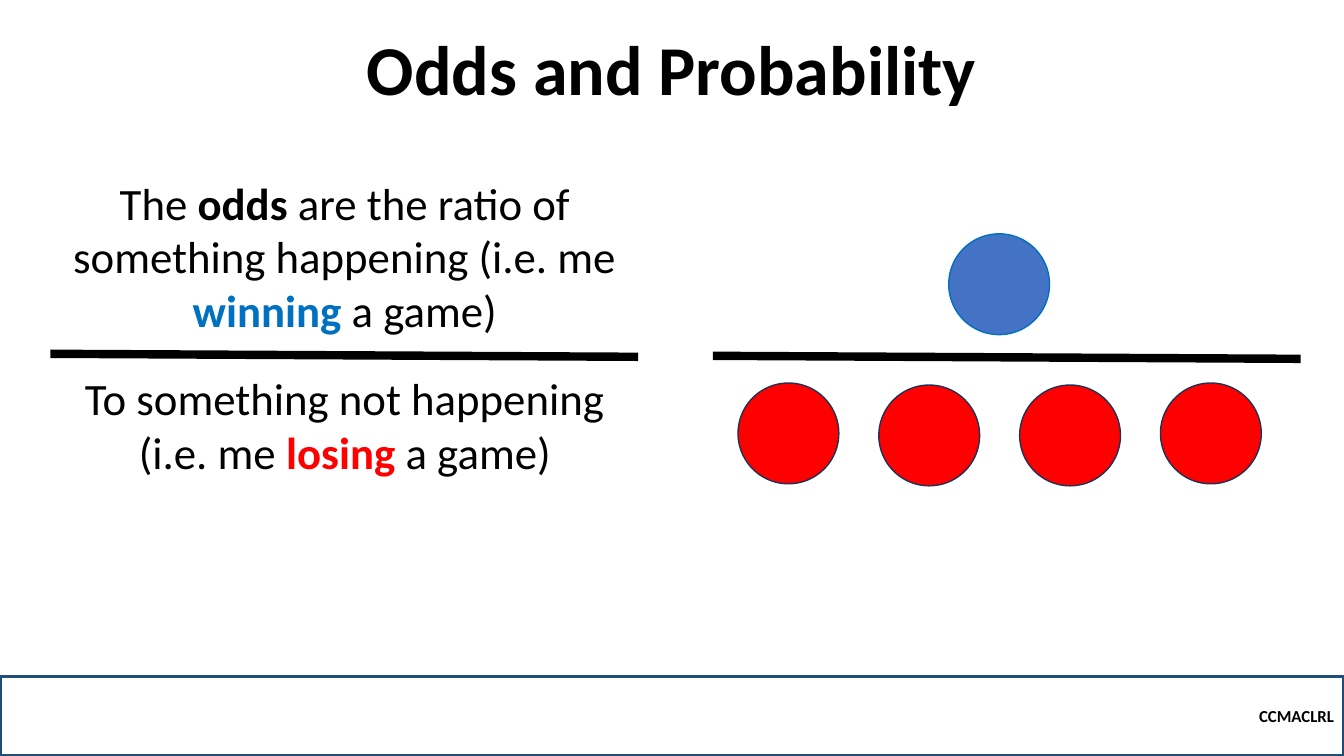
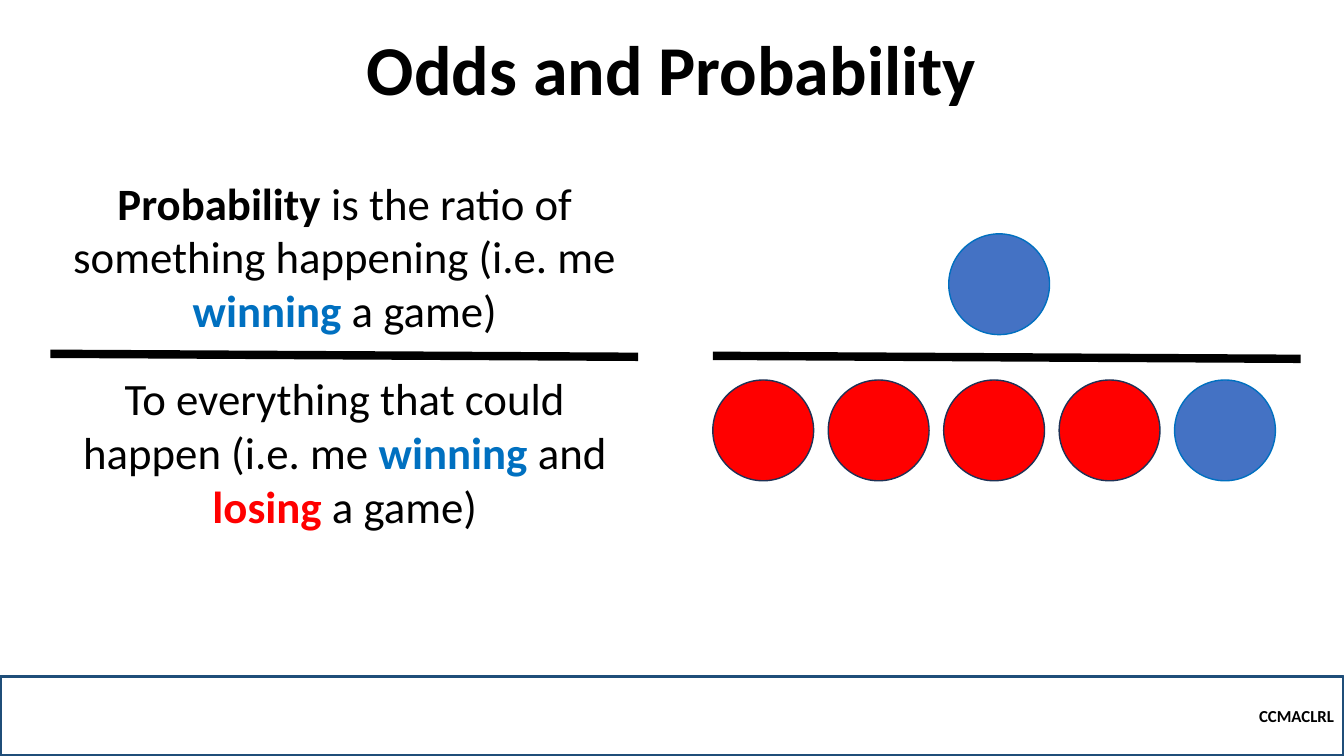
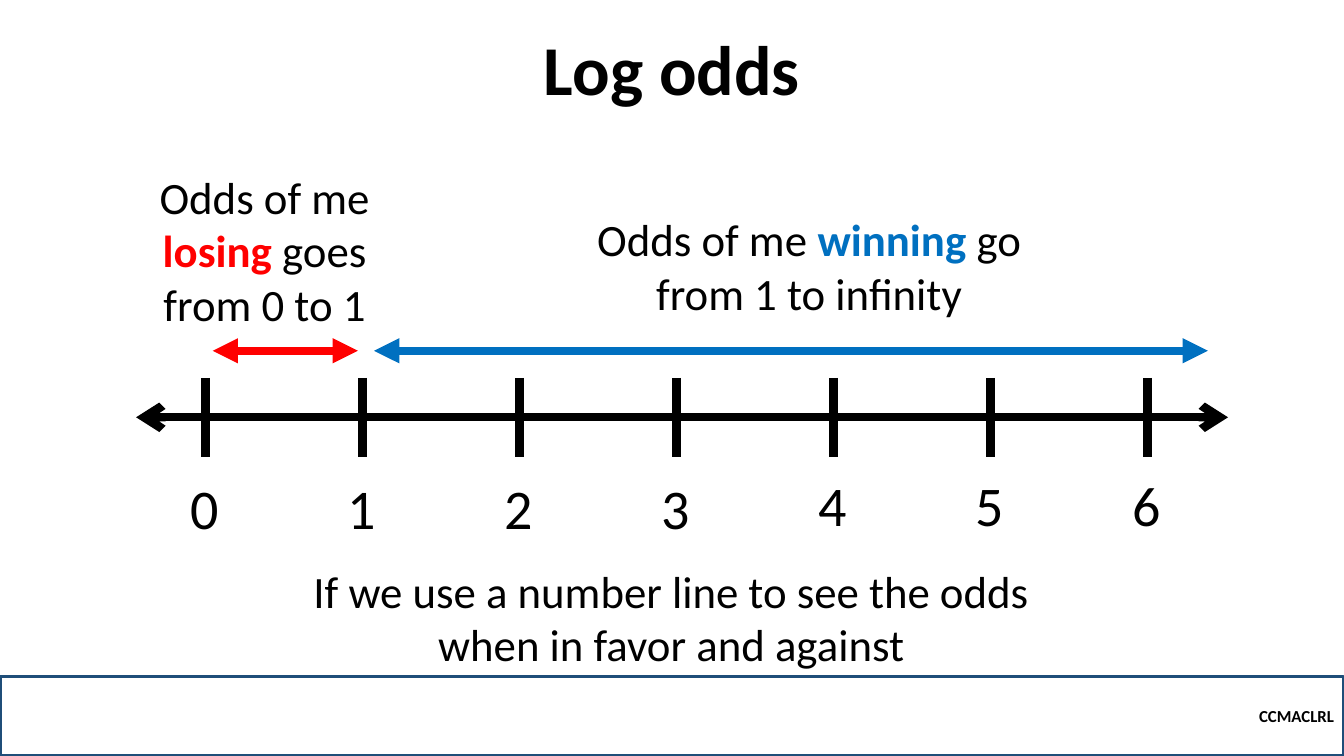
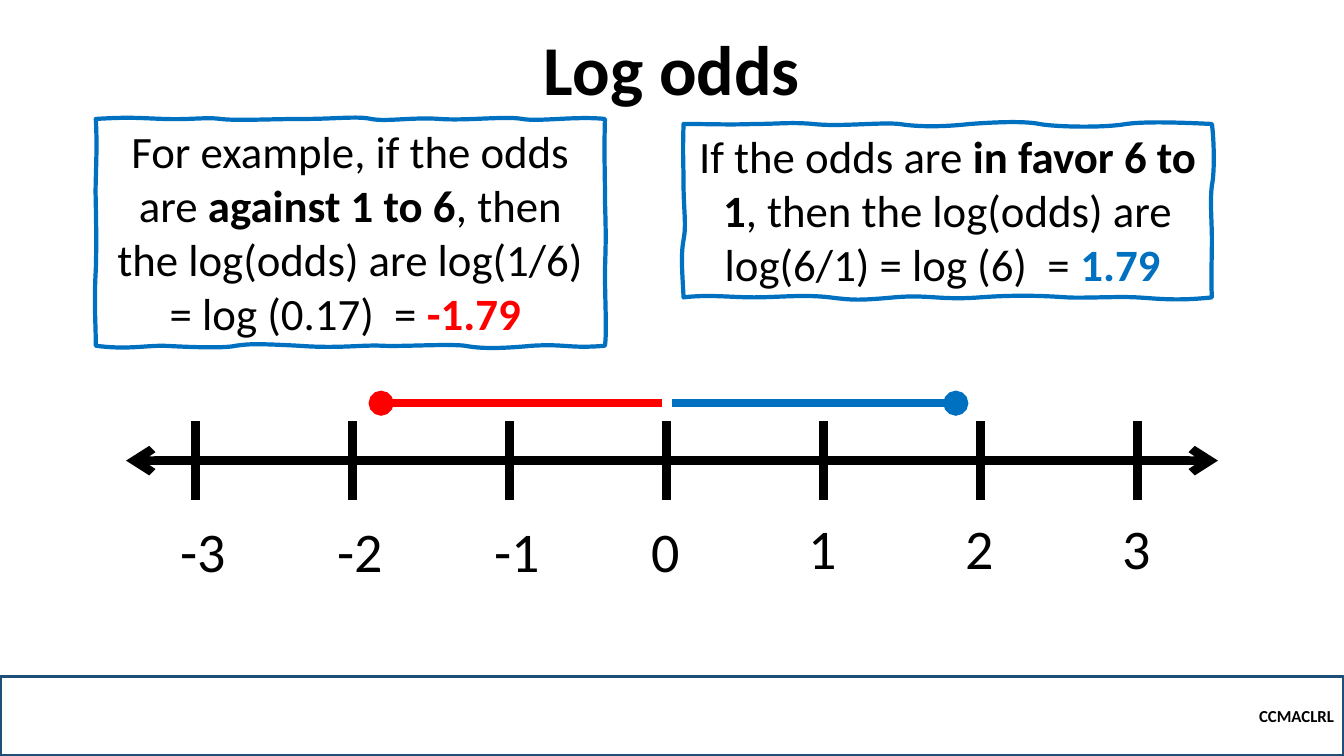
"""Build four slides that explain odds, probability and log odds."""
from dataclasses import dataclass
from typing import Any

from lxml import etree
from pptx import Presentation
from pptx.dml.color import RGBColor
from pptx.enum.shapes import MSO_CONNECTOR, MSO_SHAPE
from pptx.enum.text import MSO_ANCHOR, MSO_AUTO_SIZE, PP_ALIGN
from pptx.oxml.ns import qn
from pptx.util import Inches, Pt

LEFT, CENTER, RIGHT = PP_ALIGN.LEFT, PP_ALIGN.CENTER, PP_ALIGN.RIGHT
TOP, MIDDLE, BOTTOM = MSO_ANCHOR.TOP, MSO_ANCHOR.MIDDLE, MSO_ANCHOR.BOTTOM
FIXED, GROW = MSO_AUTO_SIZE.NONE, MSO_AUTO_SIZE.SHAPE_TO_FIT_TEXT
STRAIGHT, RECTANGLE, OVAL = MSO_CONNECTOR.STRAIGHT, MSO_SHAPE.RECTANGLE, MSO_SHAPE.OVAL

FONT = "Calibri"
BLACK, RED, BLUE = "000000", "FF0000", "0070C0"
BALL_BLUE, BALL_EDGE, FOOTER_EDGE = "4472C4", "1E3256", "1F4E79"
WIDTH, HEIGHT = 13.33, 7.5


@dataclass(frozen=True)
class Run:
    """A piece of text in one colour and weight."""
    text: str
    color: str = BLACK
    bold: bool = False


@dataclass(frozen=True)
class Box:
    """A rectangle in inches."""
    left: float
    top: float
    width: float
    height: float

    def lengths(self) -> list[int]:
        """Return the four measures as lengths."""
        return [Inches(value) for value in (self.left, self.top, self.width, self.height)]


@dataclass(frozen=True)
class TextStyle:
    """The size and placing of a text."""
    size: float = 32
    align: Any = CENTER
    anchor: Any = TOP
    wrap: bool = True
    spacing: float = 1.0
    fit: Any = GROW


@dataclass(frozen=True)
class Ball:
    """A circle that stands for one game."""
    left: float
    top: float
    won: bool = False


@dataclass(frozen=True)
class Line:
    """A straight line with optional ends."""
    start: tuple[float, float]
    end: tuple[float, float]
    color: str = BLACK
    head: str = ""
    tail: str = ""


@dataclass(frozen=True)
class WavyBox:
    """A hand-drawn frame: a start point and cubic curve segments."""
    start: tuple[float, float]
    curves: list[tuple[float, ...]]


BODY = TextStyle()
TITLE = TextStyle(size=50, anchor=BOTTOM, spacing=0.9, fit=FIXED)
FOOTER = TextStyle(size=12, align=RIGHT, anchor=MIDDLE, fit=FIXED)
TICK_LABEL = TextStyle(size=40, align=LEFT, wrap=False)

WINNING = Run("winning", BLUE, True)
LOSING = Run("losing", RED, True)
A_GAME = Run(" a game)")

AGAINST_FRAME = WavyBox((0.95, 1.18), [
    (1.28, 1.16, 1.35, 1.17, 1.62, 1.18), (1.89, 1.19, 2.04, 1.16, 2.19, 1.18),
    (2.34, 1.2, 2.69, 1.18, 3.01, 1.18), (3.34, 1.18, 3.54, 1.15, 3.68, 1.18),
    (3.83, 1.21, 4.1, 1.16, 4.36, 1.18), (4.62, 1.2, 5.01, 1.15, 5.18, 1.18),
    (5.34, 1.21, 5.71, 1.15, 6, 1.18), (5.99, 1.57, 6, 1.63, 6, 1.98),
    (6.01, 2.33, 6.01, 2.37, 6, 2.68), (6, 3, 6.02, 3.28, 6, 3.43),
    (5.65, 3.46, 5.61, 3.41, 5.28, 3.43), (4.95, 3.46, 4.77, 3.46, 4.61, 3.43),
    (4.45, 3.41, 3.98, 3.44, 3.79, 3.43), (3.59, 3.42, 3.36, 3.46, 2.96, 3.43),
    (2.57, 3.41, 2.47, 3.41, 2.34, 3.43), (2.21, 3.46, 1.82, 3.44, 1.62, 3.43),
    (1.42, 3.43, 1.25, 3.47, 0.95, 3.43), (0.95, 3.19, 0.93, 3.02, 0.95, 2.68),
    (0.96, 2.35, 0.95, 2.12, 0.95, 1.98), (0.94, 1.83, 0.97, 1.51, 0.95, 1.18),
])
FAVOR_FRAME = WavyBox((6.78, 1.23), [
    (7.07, 1.23, 7.22, 1.24, 7.48, 1.23), (7.73, 1.23, 7.83, 1.21, 8.07, 1.23),
    (8.31, 1.26, 8.74, 1.21, 8.92, 1.23), (9.11, 1.26, 9.35, 1.26, 9.62, 1.23),
    (9.89, 1.21, 10.16, 1.2, 10.31, 1.23), (10.47, 1.26, 10.95, 1.27, 11.17, 1.23),
    (11.38, 1.2, 11.81, 1.22, 12.02, 1.23), (12.04, 1.37, 12.05, 1.7, 12.02, 1.84),
    (12, 1.99, 12.02, 2.2, 12.02, 2.38), (12.02, 2.56, 12.01, 2.77, 12.02, 2.95),
    (11.66, 2.99, 11.47, 2.96, 11.27, 2.95), (11.08, 2.94, 10.73, 2.96, 10.58, 2.95),
    (10.42, 2.94, 10.13, 2.92, 9.72, 2.95), (9.32, 2.98, 9.21, 2.92, 8.87, 2.95),
    (8.53, 2.98, 8.47, 2.98, 8.23, 2.95), (7.98, 2.92, 7.71, 2.95, 7.48, 2.95),
    (7.24, 2.95, 7.03, 2.92, 6.78, 2.95), (6.77, 2.74, 6.75, 2.53, 6.78, 2.38),
    (6.81, 2.23, 6.78, 2.07, 6.78, 1.84), (6.78, 1.62, 6.77, 1.54, 6.78, 1.23),
])


def rgb(color: str) -> RGBColor:
    """Turn a hex string into a colour."""
    return RGBColor.from_string(color)


def apply_format(target: Any, values: dict[str, Any]) -> None:
    """Set each named attribute on the target."""
    for name, value in values.items():
        setattr(target, name, value)


def write_text(shape: Any, runs: list[Run], style: TextStyle) -> None:
    """Write one paragraph of runs into a shape."""
    frame = shape.text_frame
    apply_format(frame, {"word_wrap": style.wrap, "vertical_anchor": style.anchor,
                         "auto_size": style.fit})
    paragraph = frame.paragraphs[0]
    apply_format(paragraph, {"alignment": style.align, "line_spacing": style.spacing})
    for part in runs:
        run = paragraph.add_run()
        run.text = part.text
        apply_format(run.font, {"name": FONT, "size": Pt(style.size), "bold": part.bold})
        run.font.color.rgb = rgb(part.color)


def add_text(parent: Any, box: Box, runs: list[Run], style: TextStyle = BODY) -> None:
    """Add a text box to a slide or group."""
    write_text(parent.shapes.add_textbox(*box.lengths()), runs, style)


def paint(shape: Any, fill: str, edge: str, weight: float) -> None:
    """Set fill and outline and drop the shadow; an empty colour means none."""
    shape.shadow.inherit = False
    for paint_format, color in ((shape.fill, fill), (shape.line.fill, edge)):
        if color:
            paint_format.solid()
            paint_format.fore_color.rgb = rgb(color)
        else:
            paint_format.background()
    shape.line.width = Pt(weight)


def add_line(parent: Any, line: Line) -> None:
    """Add a thick connector with its ends to a slide or group."""
    points = [Inches(value) for value in (*line.start, *line.end)]
    connector = parent.shapes.add_connector(STRAIGHT, *points)
    connector.line.color.rgb = rgb(line.color)
    connector.line.width = Pt(6)
    properties = connector.element.spPr
    outline = properties.find(qn("a:ln"))
    for tag, kind in (("a:headEnd", line.head), ("a:tailEnd", line.tail)):
        if kind:
            etree.SubElement(outline, qn(tag), type=kind)
    etree.SubElement(properties, qn("a:effectLst"))


def add_ball(slide: Any, ball: Ball) -> None:
    """Add a one-inch circle, blue for a win and red for a loss."""
    shape = slide.shapes.add_shape(OVAL, *Box(ball.left, ball.top, 1, 1).lengths())
    fill, edge = (BALL_BLUE, BLUE) if ball.won else (RED, BALL_EDGE)
    paint(shape, fill, edge, 1)


def add_outline(slide: Any, start: tuple[float, float], corners: list[tuple[float, float]]) -> Any:
    """Add a closed freeform through the corners."""
    builder = slide.shapes.build_freeform(*(Inches(value) for value in start))
    builder.add_line_segments([(Inches(x), Inches(y)) for x, y in corners], close=True)
    return builder.convert_to_shape()


def add_wavy_box(slide: Any, frame: WavyBox, runs: list[Run]) -> None:
    """Add a hand-drawn frame with text, bending its straight segments."""
    shape = add_outline(slide, frame.start, [curve[4:] for curve in frame.curves])
    segments = list(shape.element.iter(qn("a:lnTo")))
    for segment, curve in zip(segments, frame.curves):
        segment.tag = qn("a:cubicBezTo")
        controls = zip(curve[0:4:2], curve[1:4:2])
        for index, (x, y) in enumerate(controls):
            point = etree.Element(qn("a:pt"), x=str(Inches(x) - shape.left),
                                  y=str(Inches(y) - shape.top))
            segment.insert(index, point)
    paint(shape, "", BLUE, 3)
    write_text(shape, runs, BODY)


def add_caption(slide: Any, box: Box, runs: list[Run]) -> None:
    """Add a text in an unpainted rectangular freeform."""
    right, bottom = box.left + box.width, box.top + box.height
    start = (box.left, box.top)
    shape = add_outline(slide, start, [(right, box.top), (right, bottom), (box.left, bottom), start])
    paint(shape, "", "", 1)
    write_text(shape, runs, BODY)


def add_number_line(slide: Any, left: float, middle: float, first: int) -> None:
    """Add a grouped two-way axis with seven labelled ticks."""
    group = slide.shapes.add_group_shape()
    add_line(group, Line((left, middle), (left + 10.83, middle), head="arrow", tail="arrow"))
    ticks = [left + 0.69 + index * 9.34 / 6 for index in range(7)]
    for x in ticks:
        add_line(group, Line((x, middle - 0.39), (x, middle + 0.39)))
    for index, x in enumerate(ticks):
        number = first + index
        label_top = middle + (0.51 if index < 4 else 0.48)
        box = Box(x - 0.25, label_top, 0.66 if number < 0 else 0.49, 0.77)
        add_text(group, box, [Run(str(number))], TICK_LABEL)


def add_slide(presentation: Any, title: str) -> Any:
    """Add a blank slide with the shared footer and title."""
    slide = presentation.slides.add_slide(presentation.slide_layouts[6])
    footer = slide.shapes.add_shape(RECTANGLE, *Box(0, 6.71, WIDTH, 0.79).lengths())
    paint(footer, "", FOOTER_EDGE, 2.25)
    write_text(footer, [Run("CCMACLRL", bold=True)], FOOTER)
    add_text(slide, Box(0.5, 0.36, 12.33, 0.79), [Run(title, bold=True)], TITLE)
    return slide


def add_ratio_slide(presentation: Any, subject: list[Run], below: list[Run],
                    below_height: float, balls: list[Ball]) -> None:
    """Add a slide that shows a ratio in words and in balls."""
    slide = add_slide(presentation, "Odds and Probability")
    for ball in [Ball(9.41, 2.32, True), *balls]:
        add_ball(slide, ball)
    add_text(slide, Box(0.59, 3.63, 5.66, below_height), below)
    for left, top in ((7.07, 3.53), (0.5, 3.51)):
        add_line(slide, Line((left, top), (left + 5.83, top + 0.03)))
    above = [*subject, Run(" ratio of something happening (i.e. me "), WINNING, A_GAME]
    add_text(slide, Box(0.59, 1.69, 5.66, 1.72), above)


def add_odds_line_slide(presentation: Any) -> None:
    """Add the number line of odds."""
    slide = add_slide(presentation, "Log odds")
    add_number_line(slide, 1.35, 4.14, 0)
    for start, end, color in ((2.11, 3.55, RED), (3.71, 11.98, BLUE)):
        add_line(slide, Line((start, 3.48), (end, 3.48), color, "triangle", "triangle"))
    add_caption(slide, Box(1.41, 1.63, 2.43, 1.72),
                [Run("Odds of me "), LOSING, Run(" goes from 0 to 1")])
    add_caption(slide, Box(5.8, 2.05, 4.45, 1.18),
                [Run("Odds of me "), WINNING, Run(" go from 1 to infinity")])
    add_text(slide, Box(2.96, 5.54, 7.4, 1.18),
             [Run("If we use a number line to see the odds when in favor and against")])


def add_log_line_slide(presentation: Any) -> None:
    """Add the number line of log odds with two examples."""
    slide = add_slide(presentation, "Log odds")
    add_number_line(slide, 1.25, 4.57, -3)
    add_wavy_box(slide, AGAINST_FRAME, [
        Run("For example, if the odds are "), Run("against 1 to 6", bold=True),
        Run(", then the log(odds) are log(1/6) = log (0.17)  = "), Run("-1.79 ", RED, True)])
    for start, end, color in ((6.57, 3.78, RED), (6.67, 9.48, BLUE)):
        add_line(slide, Line((start, 4), (end, 4), color, tail="oval"))
    add_wavy_box(slide, FAVOR_FRAME, [
        Run("If the odds are "), Run("in favor 6 to 1", bold=True),
        Run(", then the log(odds) are log(6/1) = log (6)  = "), Run("1.79 ", BLUE, True)])


def main() -> None:
    """Build and save the presentation."""
    presentation = Presentation()
    apply_format(presentation, {"slide_width": Inches(WIDTH), "slide_height": Inches(HEIGHT)})
    add_ratio_slide(
        presentation,
        [Run("The "), Run("odds", bold=True), Run(" are the")],
        [Run("To something not happening (i.e. me "), LOSING, A_GAME],
        1.18,
        [Ball(7.32 + index * 4.19 / 3, top) for index, top in enumerate((3.8, 3.82, 3.82, 3.8))])
    add_ratio_slide(
        presentation,
        [Run("Probability", bold=True), Run(" is the")],
        [Run("To everything that could happen (i.e. me "), WINNING, Run(" and "), LOSING, A_GAME],
        1.72,
        [Ball(7.07 + index * 4.58 / 4, 3.77, index == 4) for index in range(5)])
    add_odds_line_slide(presentation)
    add_log_line_slide(presentation)
    presentation.save("out.pptx")


if __name__ == "__main__":
    main()
